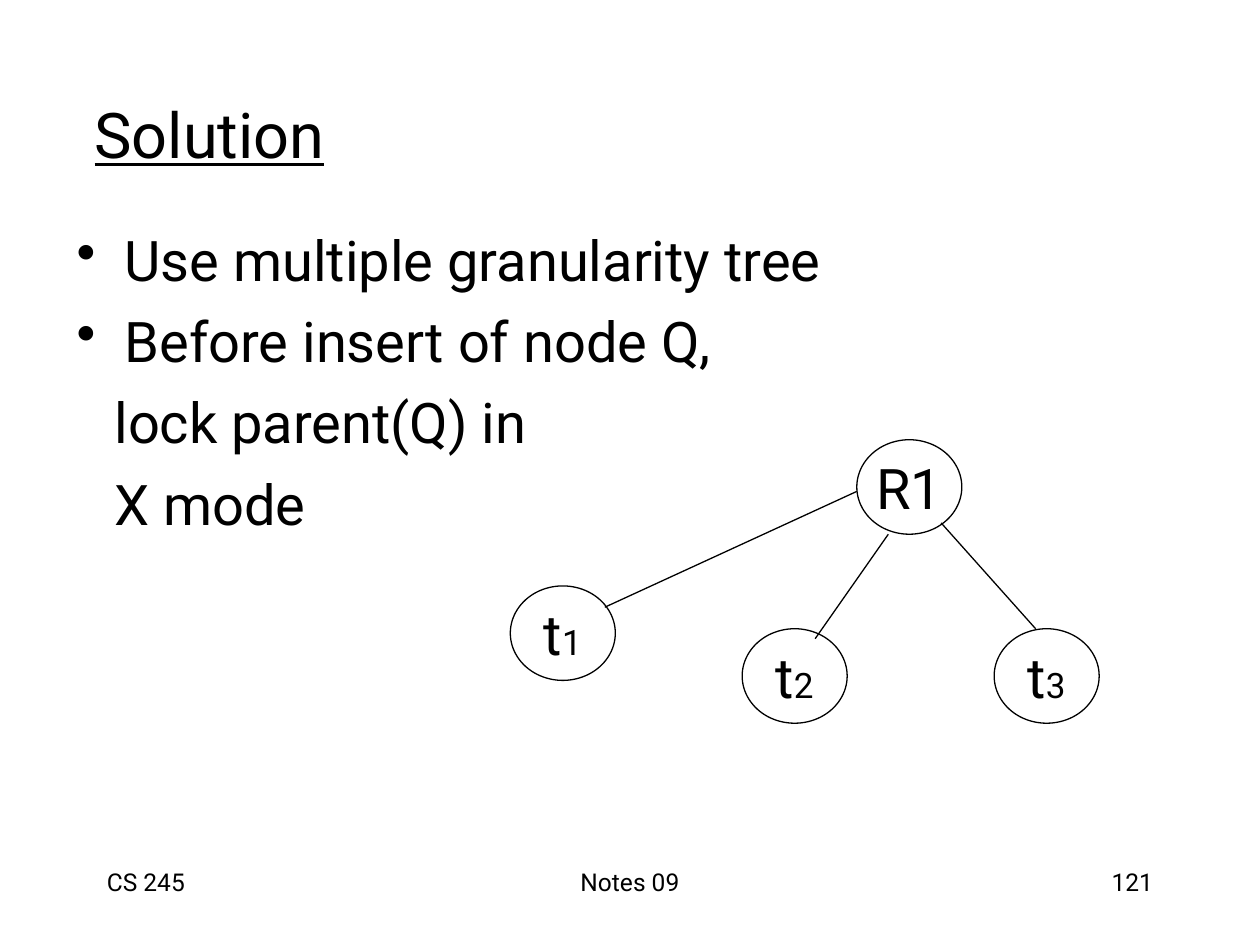
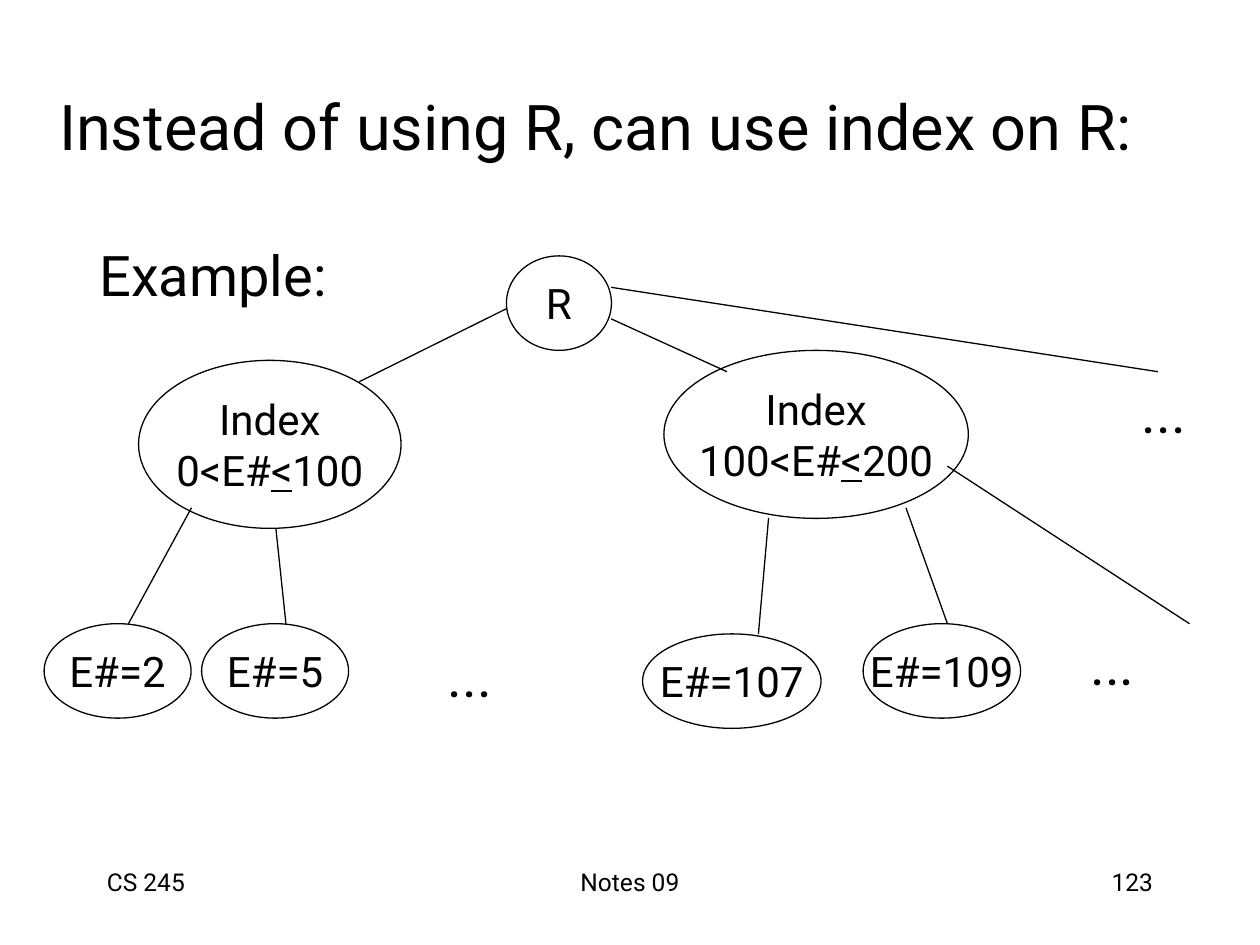
from pptx import Presentation
from pptx import util as u
from pptx.dml.color import RGBColor
from pptx.enum import shapes, text
from lxml import etree

Pt = u.Pt
INK = {"text": "000000", "line": "000000", "fill": "FFFFFF"}
FONT = "Roboto"
NS = "http://schemas.openxmlformats.org/drawingml/2006/main"
LEFT, MID, RIGHT = text.PP_ALIGN.LEFT, text.PP_ALIGN.CENTER, text.PP_ALIGN.RIGHT
TOP, CENTER = text.MSO_ANCHOR.TOP, text.MSO_ANCHOR.MIDDLE


def hue(name):
    return RGBColor.from_string(INK[name])


def put(shape, paras, size, align=LEFT, anchor=TOP, wrap=True, gap=0):
    frame = shape.text_frame
    frame.auto_size = text.MSO_AUTO_SIZE.NONE
    frame.word_wrap = wrap
    frame.vertical_anchor = anchor
    frame.margin_left = frame.margin_right = Pt(7.2)
    frame.margin_top = frame.margin_bottom = Pt(3.6)
    for i, runs in enumerate(paras):
        para = frame.add_paragraph() if i else frame.paragraphs[0]
        para.alignment = align
        para.space_before = Pt(gap if i else 0)
        for words, *style in runs:
            run = para.add_run()
            run.text = words
            run.font.name = FONT
            run.font.size = Pt(style[0] if style else size)
            run.font.underline = len(style) > 1
            run.font.color.rgb = hue("text")
    return frame


small = 20
pages = [
    {
        "num": "121",
        "title": [("Solution", 36, True)],
        "title_at": (46.8, 31, 612, 90),
        "body": ["Use multiple granularity tree", "Before insert of node Q,",
                 "lock parent(Q) in", "X mode"],
        "indents": [(27.36, True), (27.36, True), (21.6, False), (21.6, False)],
        "body_at": (36.7, 125.3, 612, 324),
        "size": 32,
        "nodes": [
            ((489.6, 251.3, 60, 54), [[("R1",)]]),
            ((291.6, 334.8, 60, 54), [[("t",), ("1", small)]]),
            ((424.1, 359.3, 60, 54), [[("t",), ("2", small)]]),
            ((568.1, 359.3, 60, 54), [[("t",), ("3", small)]]),
        ],
        "edges": [
            (489.6, 280.8, 345.6, 347),
            (507.6, 305.3, 465.8, 365),
            (537.8, 298.8, 591.8, 359.3),
        ],
        "dots": [],
    },
    {
        "num": "123",
        "title": [("Instead of using R, can use index on R:",)],
        "title_at": (26.6, 26.6, 658, 90),
        "body": ["Example:"],
        "indents": [(0, False)],
        "body_at": (49.7, 133.9, 612, 324),
        "size": 24,
        "nodes": [
            ((289.4, 146.2, 60, 54), [[("R",)]]),
            ((79.2, 205.9, 150, 96),
             [[("Index",)], [("0<E#",), ("<", 24, True), ("100",)]]),
            ((379.4, 200.2, 174, 96),
             [[("Index",)], [("100<E#",), ("<", 24, True), ("200",)]]),
            ((25.2, 356.4, 84, 54), [[("E#=2",)]]),
            ((115.2, 356.4, 84, 54), [[("E#=5",)]]),
            ((367.2, 362.2, 102, 54), [[("E#=107",)]]),
            ((493.2, 356.4, 90, 54), [[("E#=109",)]]),
        ],
        "edges": [
            (109.4, 290.2, 73.4, 356.4),
            (157.7, 302.4, 163.4, 356.4),
            (439.2, 295.9, 433.4, 362.2),
            (517.7, 290.2, 541.4, 356.4),
            (541.4, 266.4, 679.7, 356.4),
            (289.4, 176.4, 205.2, 218.2),
            (349.2, 182.2, 415.4, 212.4),
            (349.2, 164.2, 661.7, 212.4),
        ],
        "dots": [(248.4, 362.9), (645.1, 211.7), (615.6, 355.7)],
    },
]

deck = Presentation()
deck.slide_width, deck.slide_height = Pt(720), Pt(540)

for page in pages:
    slide = deck.slides.add_slide(deck.slide_layouts[5])
    items = slide.shapes

    title = items.title
    title.left, title.top, title.width, title.height = map(Pt, page["title_at"])
    put(title, [page["title"]], 36, anchor=CENTER)

    foot = [("CS 245", 54, 150, LEFT), ("Notes 09", 246, 228, MID),
            (page["num"], 516, 150, RIGHT)]
    for words, left, width, align in foot:
        box = items.add_textbox(Pt(left), Pt(492), Pt(width), Pt(36))
        put(box, [[(words,)]], 14, align)

    body = items.add_textbox(*map(Pt, page["body_at"]))
    frame = put(body, [[(words,)] for words in page["body"]], 32, gap=8)
    for para, (left, mark) in zip(frame.paragraphs, page["indents"]):
        props = para._p.get_or_add_pPr()
        props.set("marL", str(Pt(left)))
        if mark:
            props.set("indent", str(-Pt(left)))
            etree.SubElement(props, f"{{{NS}}}buChar", char="•")

    for place, paras in page["nodes"]:
        node = items.add_shape(shapes.MSO_SHAPE.OVAL, *map(Pt, place))
        node.shadow.inherit = False
        node.fill.solid()
        node.fill.fore_color.rgb = hue("fill")
        node.line.color.rgb = hue("line")
        node.line.width = Pt(0.75)
        put(node, paras, page["size"], MID, CENTER, wrap=False)

    for ends in page["edges"]:
        edge = items.add_connector(shapes.MSO_CONNECTOR.STRAIGHT, *map(Pt, ends))
        edge.line.color.rgb = hue("line")
        edge.line.width = Pt(0.75)
        etree.SubElement(edge._element.spPr, f"{{{NS}}}effectLst")

    for left, top in page["dots"]:
        box = items.add_textbox(Pt(left), Pt(top), Pt(40.3), Pt(46.1))
        put(box, [[("...",)]], 32, MID, CENTER, wrap=False)

deck.save("out.pptx")
